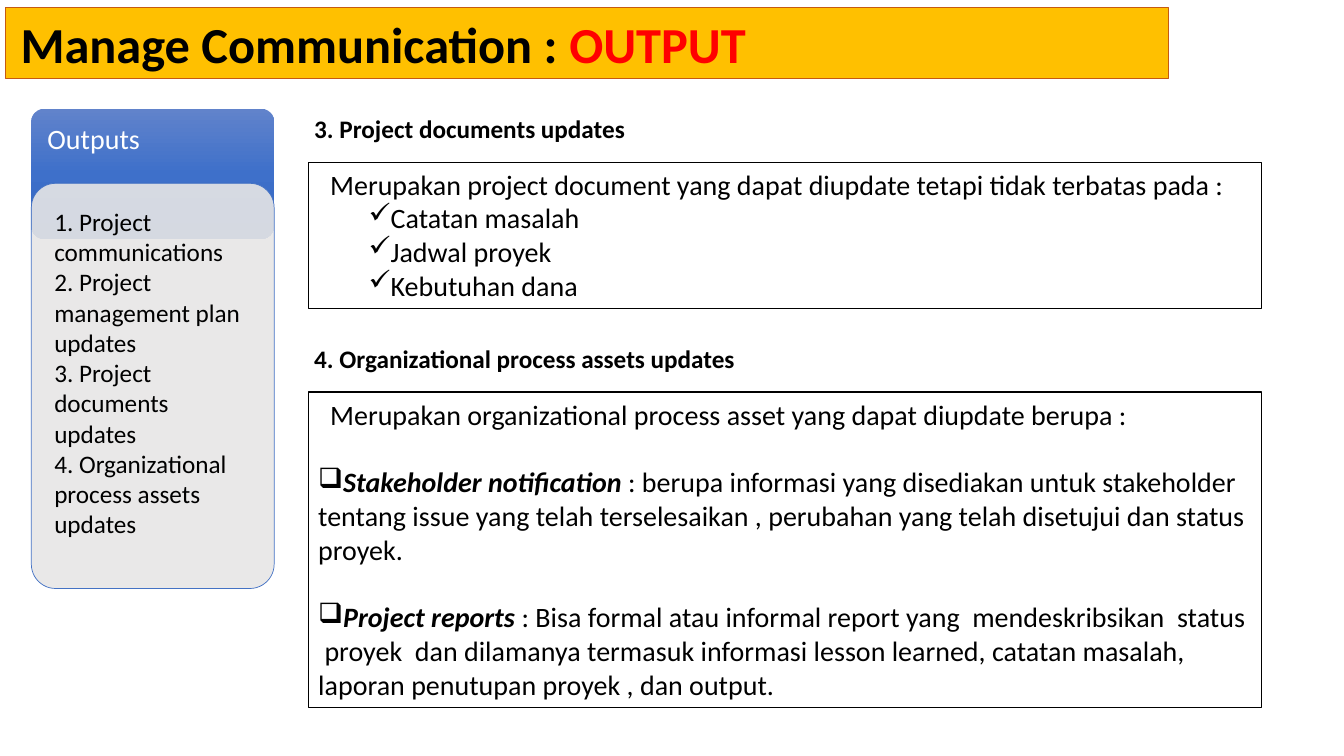
from copy import deepcopy

from lxml.etree import SubElement
from pptx import Presentation
from pptx.dml.color import RGBColor
from pptx.enum.shapes import MSO_SHAPE
from pptx.enum.text import MSO_ANCHOR, PP_ALIGN
from pptx.oxml.ns import qn
from pptx.util import Cm, Pt

BLACK = RGBColor(0x00, 0x00, 0x00)
WHITE = RGBColor(0xFF, 0xFF, 0xFF)
RED = RGBColor(0xFF, 0x00, 0x00)
AMBER = RGBColor(0xFF, 0xC0, 0x00)
RUST = RGBColor(0xC5, 0x5A, 0x11)
GREY = RGBColor(0xE7, 0xE6, 0xE6)
BLUE = RGBColor(0x44, 0x72, 0xC4)
HEADER_BLUES = [
    (0, RGBColor(0x61, 0x83, 0xCB)),
    (0.5, RGBColor(0x3E, 0x70, 0xCA)),
    (1, RGBColor(0x30, 0x62, 0xBB)),
]

presentation = Presentation()
presentation.slide_width = Cm(33.87)
presentation.slide_height = Cm(19.05)
slide = presentation.slides.add_slide(presentation.slide_layouts[6])


def add_panel(kind, left, top, width, height, fill, line, weight, anchor=MSO_ANCHOR.TOP):
    panel = slide.shapes.add_shape(kind, Cm(left), Cm(top), Cm(width), Cm(height))
    panel.shadow.inherit = False
    if fill is not None:
        panel.fill.solid()
        panel.fill.fore_color.rgb = fill
    if line is None:
        panel.line.fill.background()
    else:
        panel.line.color.rgb = line
        panel.line.width = Pt(weight)
    panel.text_frame.word_wrap = True
    panel.text_frame.vertical_anchor = anchor
    return panel


def style_text(frame, size, color=BLACK, bold=False):
    for paragraph in frame.paragraphs:
        paragraph.alignment = PP_ALIGN.LEFT
        for run in paragraph.runs:
            run.font.name = "Calibri"
            run.font.size = Pt(size)
            run.font.color.rgb = color
            run.font.bold = bold


title = add_panel(MSO_SHAPE.RECTANGLE, 0.15, 0.2, 29.29, 1.78, AMBER, RUST, 0.75, MSO_ANCHOR.MIDDLE)
title.text_frame.margin_left = Cm(0.37)
title.text_frame.text = "Manage Communication : "
output_word = title.text_frame.paragraphs[0].add_run()
output_word.text = "OUTPUT"
style_text(title.text_frame, 36, bold=True)
output_word.font.color.rgb = RED

outputs_header = add_panel(MSO_SHAPE.ROUNDED_RECTANGLE, 0.79, 2.74, 6.12, 3.28, None, None, 0)
outputs_header.adjustments[0] = 0.1
outputs_header.fill.gradient()
outputs_header.fill.gradient_angle = 270
stop_list = outputs_header.fill.gradient_stops[0]._gs.getparent()
stop_list.insert(1, deepcopy(stop_list[0]))
for stop, (position, color) in zip(outputs_header.fill.gradient_stops, HEADER_BLUES):
    stop.position = position
    stop.color.rgb = color
outputs_header.text_frame.margin_left = outputs_header.text_frame.margin_top = Cm(0.31)
outputs_header.text_frame.text = "Outputs"
outputs_header.text_frame.paragraphs[0].line_spacing = 0.9
style_text(outputs_header.text_frame, 20, WHITE)

outputs_list = add_panel(MSO_SHAPE.ROUNDED_RECTANGLE, 0.79, 4.62, 6.12, 10.21, GREY, BLUE, 0.5)
outputs_list.adjustments[0] = 0.1
grey_fill = outputs_list._element.spPr.find(qn("a:solidFill"))
SubElement(grey_fill[0], qn("a:alpha")).set("val", "90000")
list_frame = outputs_list.text_frame
list_frame.margin_left = list_frame.margin_right = list_frame.margin_top = Cm(0.4)
list_frame.text = "\n".join([
    "1. Project communications",
    "2. Project management plan updates",
    "3. Project documents updates",
    "4. Organizational process assets updates",
])
style_text(list_frame, 18)

sections = [
    (4.09, 3.68, 8.41, "3. Project documents updates",
     "Merupakan project document yang dapat diupdate tetapi tidak terbatas pada :",
     "✓", 1, 1.27, 0,
     [("", "Catatan masalah"), ("", "Jadwal proyek"), ("", "Kebutuhan dana")]),
    (9.88, 7.95, 11.2, "4. Organizational process assets updates",
     "Merupakan organizational process asset yang dapat diupdate berupa :",
     "❑", 0, 0, 24.4,
     [("Stakeholder notification",
       " : berupa informasi yang disediakan untuk stakeholder tentang issue yang telah "
       "terselesaikan , perubahan yang telah disetujui dan status proyek."),
      ("Project reports ",
       ": Bisa formal atau informal report yang  mendeskribsikan  status  proyek  dan "
       "dilamanya termasuk informasi lesson learned, catatan masalah, laporan penutupan "
       "proyek , dan output.")]),
]

for top, height, heading_width, heading_text, intro, bullet, level, indent, gap, items in sections:
    heading = slide.shapes.add_textbox(Cm(7.67), Cm(top - 1.35), Cm(heading_width), Cm(1.02))
    heading.text_frame.word_wrap = False
    heading.text_frame.text = heading_text
    style_text(heading.text_frame, 18, bold=True)

    details = add_panel(MSO_SHAPE.RECTANGLE, 7.77, top, 24.03, height, WHITE, BLACK, 1)
    details.text_frame.text = intro
    details.text_frame.paragraphs[0]._p.get_or_add_pPr().set("marL", str(Cm(0.3)))
    leads = []
    for lead, description in items:
        item = details.text_frame.add_paragraph()
        item.level = level
        item.space_before = Pt(gap)
        properties = item._p.get_or_add_pPr()
        properties.set("marL", str(Cm(indent)))
        properties.set("indent", "0")
        SubElement(properties, qn("a:buChar")).set("char", bullet)
        if lead:
            item.text = lead
            leads.append(item.runs[0])
            item.add_run().text = description
        else:
            item.text = description
    style_text(details.text_frame, 20)
    for lead_run in leads:
        lead_run.font.bold = True
        lead_run.font.italic = True

presentation.save("out.pptx")
